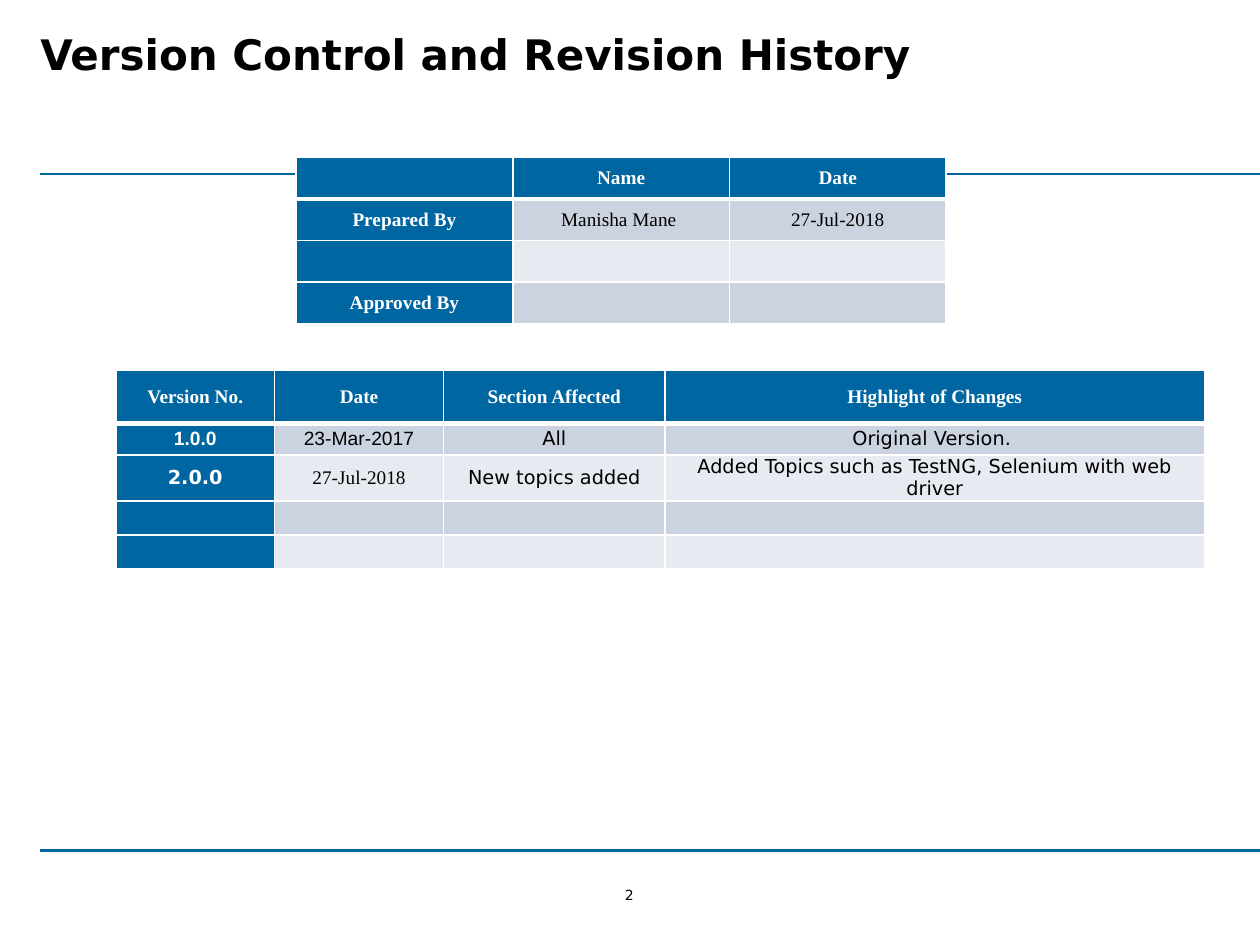
from dataclasses import dataclass

from lxml import etree
from pptx import Presentation
from pptx.dml.color import RGBColor
from pptx.enum.shapes import MSO_CONNECTOR
from pptx.enum.text import MSO_ANCHOR, PP_ALIGN
from pptx.oxml.ns import qn
from pptx.util import Inches, Pt

LEFT, CENTER = PP_ALIGN.LEFT, PP_ALIGN.CENTER
TOP, MIDDLE = MSO_ANCHOR.TOP, MSO_ANCHOR.MIDDLE
STRAIGHT = MSO_CONNECTOR.STRAIGHT


@dataclass(frozen=True)
class Theme:
    blue: str = "0066A1"
    band_dark: str = "CCD3E0"
    band_light: str = "E7EAF0"
    white: str = "FFFFFF"
    black: str = "000000"
    sans: str = "DejaVu Sans"
    serif: str = "Times New Roman"
    arial: str = "Arial"
    title_size: int = 24
    table_size: int = 11
    number_size: int = 8


theme = Theme()


def write(frame, text, *, size, font=theme.sans, color=theme.black, bold=False, align=LEFT):
    paragraph = frame.paragraphs[0]
    paragraph.alignment = align
    if not text:
        # Keeps an empty cell from growing to the default type size
        etree.SubElement(paragraph._p, qn("a:endParaRPr"), sz=str(size * 100))
        return
    run = paragraph.add_run()
    run.text = text
    run.font.size = Pt(size)
    run.font.name = font
    run.font.bold = bold
    run.font.color.rgb = RGBColor.from_string(color)


def set_borders(cell, widths):
    properties = cell._tc.get_or_add_tcPr()
    for side, width in widths.items():
        line = etree.SubElement(properties, qn(f"a:ln{side}"), w=str(Pt(width)))
        fill = etree.SubElement(line, qn("a:solidFill"))
        etree.SubElement(fill, qn("a:srgbClr"), val=theme.white)


presentation = Presentation()
presentation.slide_width = Inches(10)
presentation.slide_height = Inches(7.5)
slide = presentation.slides.add_slide(presentation.slide_layouts[6])

# Rules above and below the content
for y in (1.38, 6.75):
    rule = slide.shapes.add_connector(STRAIGHT, Inches(0.32), Inches(y), Inches(10), Inches(y))
    rule.line.color.rgb = RGBColor.from_string(theme.blue)
    rule.line.width = Pt(1.25)
    etree.SubElement(rule._element.spPr, qn("a:effectLst"))

# Title and page number
captions = [
    ("Version Control and Revision History", (0.32, 0.18, 9.49, 1.05), 0.05, TOP,
     dict(size=theme.title_size, bold=True)),
    ("2", (4.9, 7.04, 0.19, 0.13), 0, MIDDLE,
     dict(size=theme.number_size, align=CENTER)),
]
for text, box, inset, anchor, text_format in captions:
    frame = slide.shapes.add_textbox(*map(Inches, box)).text_frame
    frame.word_wrap = True
    frame.margin_left = frame.margin_right = 0
    frame.margin_top = frame.margin_bottom = Inches(inset)
    frame.vertical_anchor = anchor
    write(frame, text, **text_format)

# Sign-off and revision tables: position, column widths, row heights, body insets, rows
sign_off = [
    ["", "Name", "Date"],
    ["Prepared By", "Manisha Mane ", "27-Jul-2018"],
    ["", "", ""],
    ["Approved By", "", ""],
]
revisions = [
    ["Version No.", "Date", "Section Affected", "Highlight of Changes"],
    ["1.0.0", "23-Mar-2017", "All", "Original Version. "],
    ["2.0.0", "27-Jul-2018", "New topics added",
     "Added Topics such as TestNG, Selenium with web driver"],
    ["", "", "", ""],
    ["", "", "", ""],
]
revision_fonts = {
    (1, 0): theme.arial, (1, 1): theme.arial, (1, 2): theme.sans, (1, 3): theme.sans,
    (2, 0): theme.sans, (2, 2): theme.sans, (2, 3): theme.sans,
}
header_insets = (0.06, 0.03)
tables = [
    (2.35, 1.25, [1.72] * 3, [0.33] * 4, header_insets, sign_off, {}),
    (0.92, 2.94, [1.26, 1.34, 1.76, 4.28], [0.42, 0.25, 0.27, 0.27, 0.27], (0.04, 0),
     revisions, revision_fonts),
]
for left, top, widths, heights, body_insets, rows, fonts in tables:
    table = slide.shapes.add_table(
        len(heights), len(widths), Inches(left), Inches(top),
        Inches(sum(widths)), Inches(sum(heights))).table
    for column, width in zip(table.columns, widths):
        column.width = Inches(width)
    for row, height in zip(table.rows, heights):
        row.height = Inches(height)

    for r, texts in enumerate(rows):
        for c, text in enumerate(texts):
            cell = table.cell(r, c)
            heading = r == 0 or c == 0
            band = theme.band_dark if r % 2 else theme.band_light
            set_borders(cell, {"L": 1, "R": 1, "T": 3 if r == 1 else 1, "B": 3 if r == 0 else 1})
            cell.fill.solid()
            cell.fill.fore_color.rgb = RGBColor.from_string(theme.blue if heading else band)
            side, edge = header_insets if r == 0 else body_insets
            cell.margin_left = cell.margin_right = Inches(side)
            cell.margin_top = cell.margin_bottom = Inches(edge)
            cell.vertical_anchor = MIDDLE
            write(cell.text_frame, text, size=theme.table_size,
                  font=fonts.get((r, c), theme.serif),
                  color=theme.white if heading else theme.black,
                  bold=heading, align=CENTER)

presentation.save("out.pptx")
